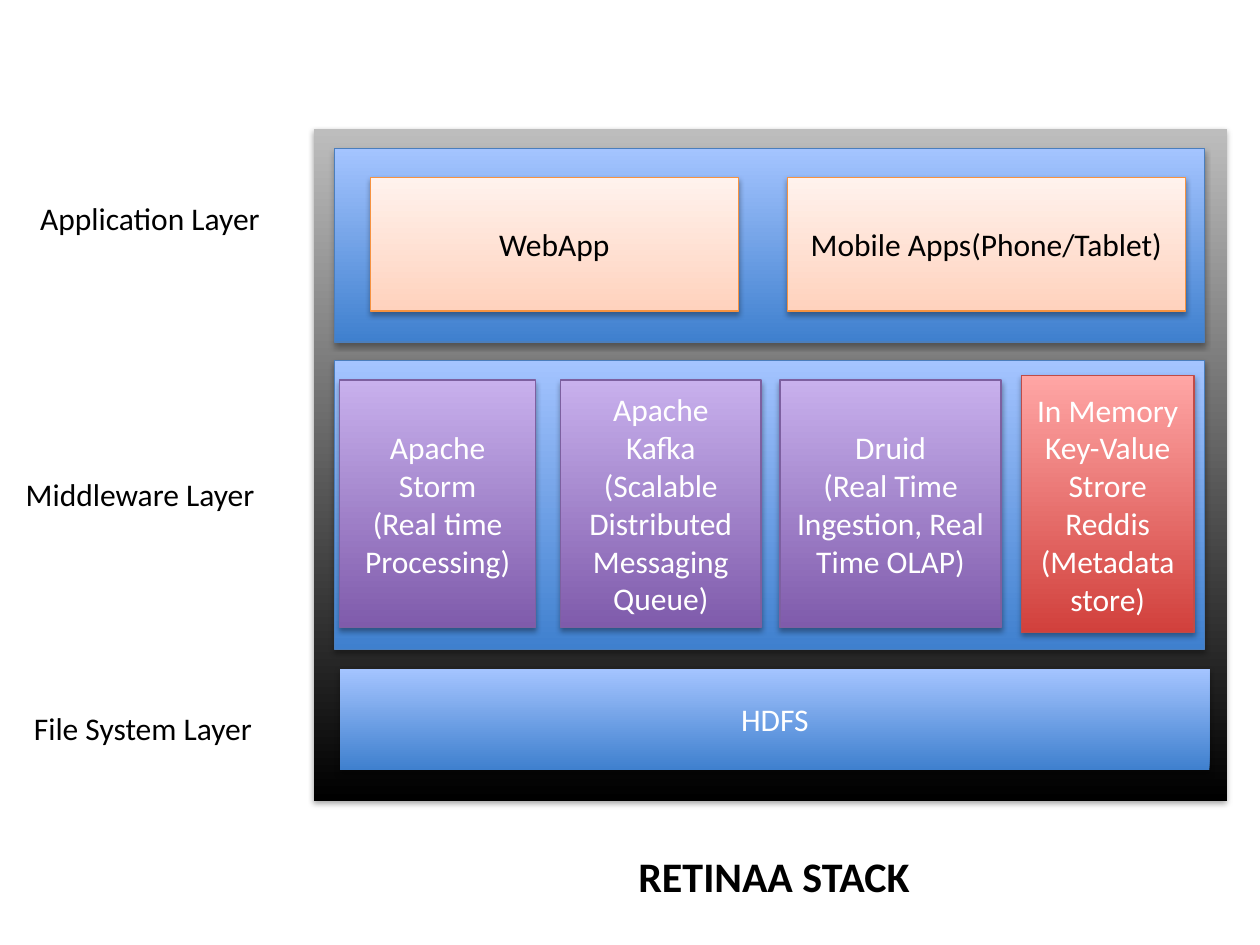
"""Build the RETINAA stack slide: three labelled layers with their components."""
from lxml.etree import SubElement
from pptx import Presentation
from pptx.dml.color import RGBColor
from pptx.enum.shapes import MSO_SHAPE
from pptx.enum.text import MSO_ANCHOR, PP_ALIGN
from pptx.oxml.ns import qn
from pptx.util import Pt

THEME = {
    "font": "Calibri",
    "body": 18,
    "title": 24,
    "dark": "000000",
    "light": "FFFFFF",
    "line_width": 0.75,
    "shadow": {"color": "000000", "alpha": 35, "blur": 3.1, "distance": 1.8},
    "styles": {
        "frame": {"bottom": "000000", "top": "BDBDBD", "line": None, "text": "light"},
        "base": {"bottom": "3F80CE", "top": "A4C4FF", "line": None, "text": "light"},
        "layer": {"bottom": "3F80CE", "top": "A4C4FF", "line": "4B7EBC", "text": "light"},
        "engine": {"bottom": "7F5BAB", "top": "C8B0ED", "line": "7D60A0", "text": "light"},
        "store": {"bottom": "D1403C", "top": "FFA6A5", "line": "BF4C48", "text": "light"},
        "app": {"bottom": "FFD2BD", "top": "FFF2ED", "line": "F69240", "text": "dark"},
    },
}

FRAME = (179.3, 73.5, 522, 384)
BASE = (194.4, 382.3, 496.8, 57.6)
LAYER_LEFT, LAYER_WIDTH = 191.2, 497
LAYERS = [(206, 165), (85, 110.5)]

COMPONENT_ROWS = [
    {"top": 217.2, "height": 141.4, "style": "engine", "items": [
        (194.1, 112, ["Apache", "Storm", "(Real time Processing)"]),
        (320.3, 114.7, ["Apache", "Kafka", "(Scalable Distributed Messaging Queue)"]),
        (445.7, 126.4, ["Druid", "(Real Time Ingestion, Real Time OLAP)"]),
    ]},
    {"top": 214.5, "height": 147.1, "style": "store", "items": [
        (583.6, 98.8, ["In Memory Key-Value", "Strore Reddis", "(Metadata store)"]),
    ]},
    {"top": 101.5, "height": 76.3, "style": "app", "items": [
        (211.6, 210.4, ["WebApp"]),
        (450, 227.3, ["Mobile Apps(Phone/Tablet)"]),
    ]},
]

LABEL_SIZE = (158, 29)
LABELS = [
    (15.9, 110.3, "Application Layer"),
    (7.6, 268, "Middleware Layer"),
    (12.3, 401.8, "File System Layer"),
]
TITLE = ((267.3, 482.4, 350, 36), "RETINAA STACK")


def write_text(shape, lines, size=THEME["body"], color="dark", bold=False,
               align=PP_ALIGN.LEFT, anchor=MSO_ANCHOR.TOP):
    frame = shape.text_frame
    frame.word_wrap = True
    frame.vertical_anchor = anchor
    frame.text = "\n".join(lines)
    for paragraph in frame.paragraphs:
        paragraph.alignment = align
        font = paragraph.font
        font.name, font.size, font.bold = THEME["font"], Pt(size), bold
        font.color.rgb = RGBColor.from_string(THEME[color])


def add_shadow(shape):
    shadow = THEME["shadow"]
    shape.shadow.inherit = False
    effects = shape.element.spPr.find(qn("a:effectLst"))
    outer = SubElement(effects, qn("a:outerShdw"), {
        "blurRad": str(Pt(shadow["blur"])), "dist": str(Pt(shadow["distance"])),
        "dir": "5400000", "rotWithShape": "0"})
    color = SubElement(outer, qn("a:srgbClr"), val=shadow["color"])
    SubElement(color, qn("a:alpha"), val=str(shadow["alpha"] * 1000))


def add_box(slide, bounds, style_name, lines=()):
    style = THEME["styles"][style_name]
    shape = slide.shapes.add_shape(MSO_SHAPE.RECTANGLE, *map(Pt, bounds))
    shape.fill.gradient()
    shape.fill.gradient_angle = 90
    for stop, end in zip(shape.fill.gradient_stops, ("bottom", "top")):
        stop.color.rgb = RGBColor.from_string(style[end])
    if style["line"]:
        shape.line.color.rgb = RGBColor.from_string(style["line"])
        shape.line.width = Pt(THEME["line_width"])
    else:
        shape.line.fill.background()
    add_shadow(shape)
    if lines:
        write_text(shape, lines, color=style["text"], align=PP_ALIGN.CENTER,
                   anchor=MSO_ANCHOR.MIDDLE)


def add_label(slide, bounds, text, **text_format):
    write_text(slide.shapes.add_textbox(*map(Pt, bounds)), [text], **text_format)


def main():
    presentation = Presentation()
    presentation.slide_width, presentation.slide_height = Pt(720), Pt(540)
    slide = presentation.slides.add_slide(presentation.slide_layouts[6])
    add_box(slide, FRAME, "frame")
    add_box(slide, BASE, "base", ["HDFS"])
    for top, height in LAYERS:
        add_box(slide, (LAYER_LEFT, top, LAYER_WIDTH, height), "layer")
    for row in COMPONENT_ROWS:
        for left, width, lines in row["items"]:
            add_box(slide, (left, row["top"], width, row["height"]), row["style"], lines)
    for left, top, text in LABELS:
        add_label(slide, (left, top, *LABEL_SIZE), text)
    bounds, text = TITLE
    add_label(slide, bounds, text, size=THEME["title"], bold=True, align=PP_ALIGN.CENTER)
    presentation.save("out.pptx")


if __name__ == "__main__":
    main()
